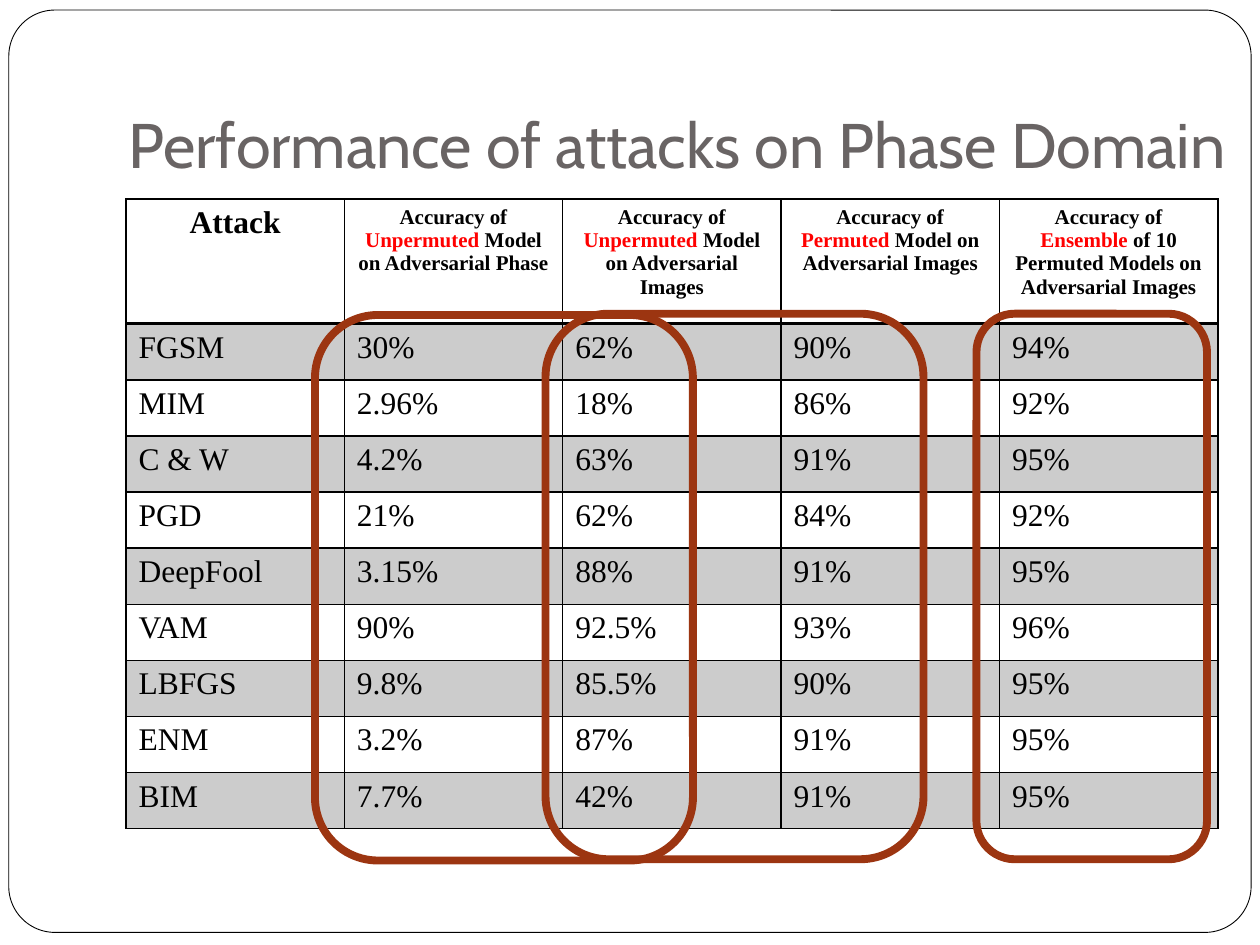
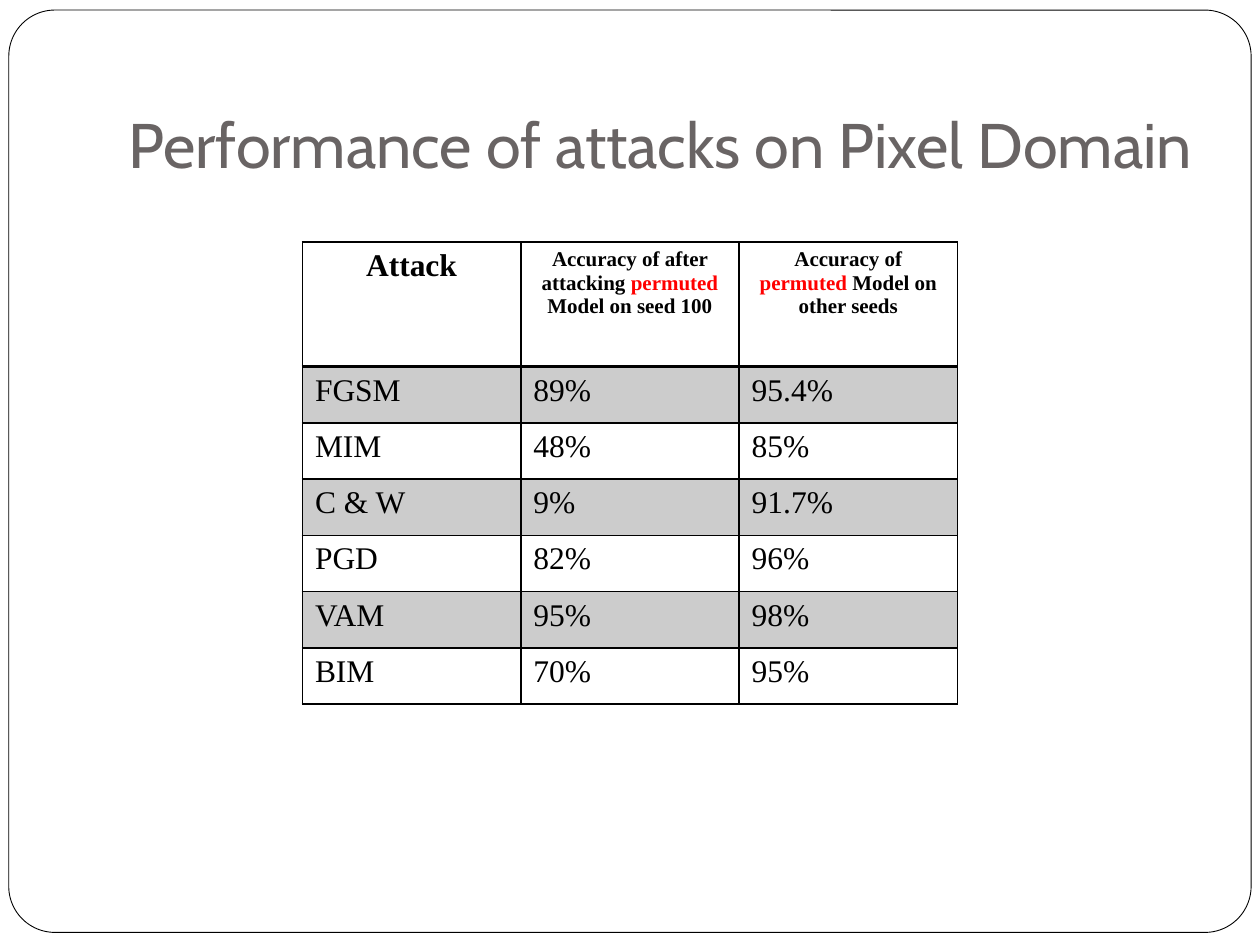
from lxml import etree
from pptx import Presentation
from pptx.dml.color import RGBColor
from pptx.enum.shapes import MSO_SHAPE as Shape
from pptx.enum.text import MSO_ANCHOR as Anchor, PP_ALIGN as Align
from pptx.oxml.ns import qn
from pptx.util import Inches, Pt

BLACK, WHITE, RED = "000000", "FFFFFF", "FF0000"
TITLE_GREY, RUST = "696464", "9C3511"
TITLE_FONT, TABLE_FONT = "Cabin", "Times New Roman"
COLUMN_WIDTH = 5.2 / 3
HEADER_HEIGHT = 0.99
BAND_ALPHA = "20000"

# Header spans alternate between plain and highlighted text.
PHASE_HEADERS = [
    ("Attack",),
    ("Accuracy of ", "Unpermuted", " Model on Adversarial Phase"),
    ("Accuracy of ", "Unpermuted", " Model on Adversarial Images"),
    ("Accuracy of ", "Permuted", " Model on Adversarial Images"),
    ("Accuracy of ", "Ensemble", " of 10 Permuted Models on Adversarial Images"),
]
PHASE_ROWS = [
    ("FGSM", "30%", "62%", "90%", "94%"),
    ("MIM", "2.96%", "18%", "86%", "92%"),
    ("C & W", "4.2%", "63%", "91%", "95%"),
    ("PGD", "21%", "62%", "84%", "92%"),
    ("DeepFool", "3.15%", "88%", "91%", "95%"),
    ("VAM", "90%", "92.5%", "93%", "96%"),
    ("LBFGS", "9.8%", "85.5%", "90%", "95%"),
    ("ENM", "3.2%", "87%", "91%", "95%"),
    ("BIM", "7.7%", "42%", "91%", "95%"),
]
PIXEL_HEADERS = [
    ("Attack",),
    ("Accuracy of after attacking ", "permuted", " Model on seed 100"),
    ("Accuracy of ", "permuted", " Model on other seeds"),
]
PIXEL_ROWS = [
    ("FGSM", "89%", "95.4%"),
    ("MIM", "48%", "85%"),
    ("C & W", "9%", "91.7%"),
    ("PGD", "82%", "96%"),
    ("VAM", "95%", "98%"),
    ("BIM", "70%", "95%"),
]


def color(value):
    return RGBColor.from_string(value)


def style_span(span, font, size, ink, bold=False):
    span.font.name = font
    span.font.size = Pt(size)
    span.font.bold = bold
    span.font.color.rgb = color(ink)


def add_round_box(page, left, top, width, height, line, weight, fill=None):
    box = page.shapes.add_shape(
        Shape.ROUNDED_RECTANGLE,
        Inches(left), Inches(top), Inches(width), Inches(height))
    box.shadow.inherit = False
    box.line.color.rgb = color(line)
    box.line.width = Pt(weight)
    if fill:
        box.fill.solid()
        box.fill.fore_color.rgb = color(fill)
    else:
        box.fill.background()
    return box


def add_title(page, text, width):
    box = page.shapes.add_textbox(
        Inches(0.92), Inches(0.29), Inches(width), Inches(1.25))
    frame = box.text_frame
    frame.word_wrap = True
    frame.vertical_anchor = Anchor.BOTTOM
    frame.margin_bottom = Inches(0.1)
    frame.text = text
    style_span(frame.paragraphs[0].runs[0], TITLE_FONT, 36, TITLE_GREY)


def add_page(deck, title, title_width):
    """Add a blank page with the shared frame and title."""
    page = deck.slides.add_slide(deck.slide_layouts[6])
    frame = add_round_box(page, 0.07, 0.08, 9.86, 7.32, BLACK, 0.5, WHITE)
    frame.adjustments[0] = 0.05
    add_title(page, title, title_width)
    return page


def set_borders(cell, top, bottom):
    """Draw black cell borders; top and bottom are weights in points."""
    properties = cell._tc.get_or_add_tcPr()
    for side, weight in (("L", 1), ("R", 1), ("T", top), ("B", bottom)):
        line = etree.SubElement(properties, qn(f"a:ln{side}"), w=str(Pt(weight)))
        fill = etree.SubElement(line, qn("a:solidFill"))
        etree.SubElement(fill, qn("a:srgbClr"), val=BLACK)


def fill_cell(cell, banded):
    if not banded:
        cell.fill.background()
        return
    cell.fill.solid()
    cell.fill.fore_color.rgb = color(BLACK)
    tint = cell._tc.tcPr.find(f"{qn('a:solidFill')}/{qn('a:srgbClr')}")
    etree.SubElement(tint, qn("a:alpha"), val=BAND_ALPHA)


def write_header(cell, texts):
    para = cell.text_frame.paragraphs[0]
    para.alignment = Align.CENTER
    size = 18 if len(texts) == 1 else 12
    for index, text in enumerate(texts):
        span = para.add_run()
        span.text = text
        style_span(span, TABLE_FONT, size, RED if index % 2 else BLACK, True)


def write_value(cell, text):
    cell.text = text
    style_span(cell.text_frame.paragraphs[0].runs[0], TABLE_FONT, 18, BLACK)


def add_attack_table(page, left, top, height, headers, rows):
    table = page.shapes.add_table(
        len(rows) + 1, len(headers), Inches(left), Inches(top),
        Inches(COLUMN_WIDTH * len(headers)), Inches(height)).table
    for column in table.columns:
        column.width = Inches(COLUMN_WIDTH)
    row_height = (height - HEADER_HEIGHT) / len(rows)
    for number, values in enumerate([headers, *rows]):
        is_header = number == 0
        table.rows[number].height = Inches(HEADER_HEIGHT if is_header else row_height)
        write = write_header if is_header else write_value
        for cell, value in zip(table.rows[number].cells, values):
            write(cell, value)
            set_borders(cell, 2 if number == 1 else 1, 2 if is_header else 1)
            fill_cell(cell, number % 2 == 1)


def main():
    deck = Presentation()
    deck.slide_width, deck.slide_height = Inches(10), Inches(7.5)

    phase = add_page(deck, "Performance of attacks on Phase Domain", 9)
    add_attack_table(phase, 1, 1.58, 5, PHASE_HEADERS, PHASE_ROWS)
    for left, top, width in ((2.5, 2.5, 3), (4.33, 2.49, 3), (7.75, 2.49, 1.83)):
        add_round_box(phase, left, top, width, 4.33, RUST, 4.5)

    pixel = add_page(deck, "Performance of attacks on Pixel Domain", 8.67)
    add_attack_table(pixel, 2.4, 1.92, 3.67, PIXEL_HEADERS, PIXEL_ROWS)

    deck.save("out.pptx")


if __name__ == "__main__":
    main()
